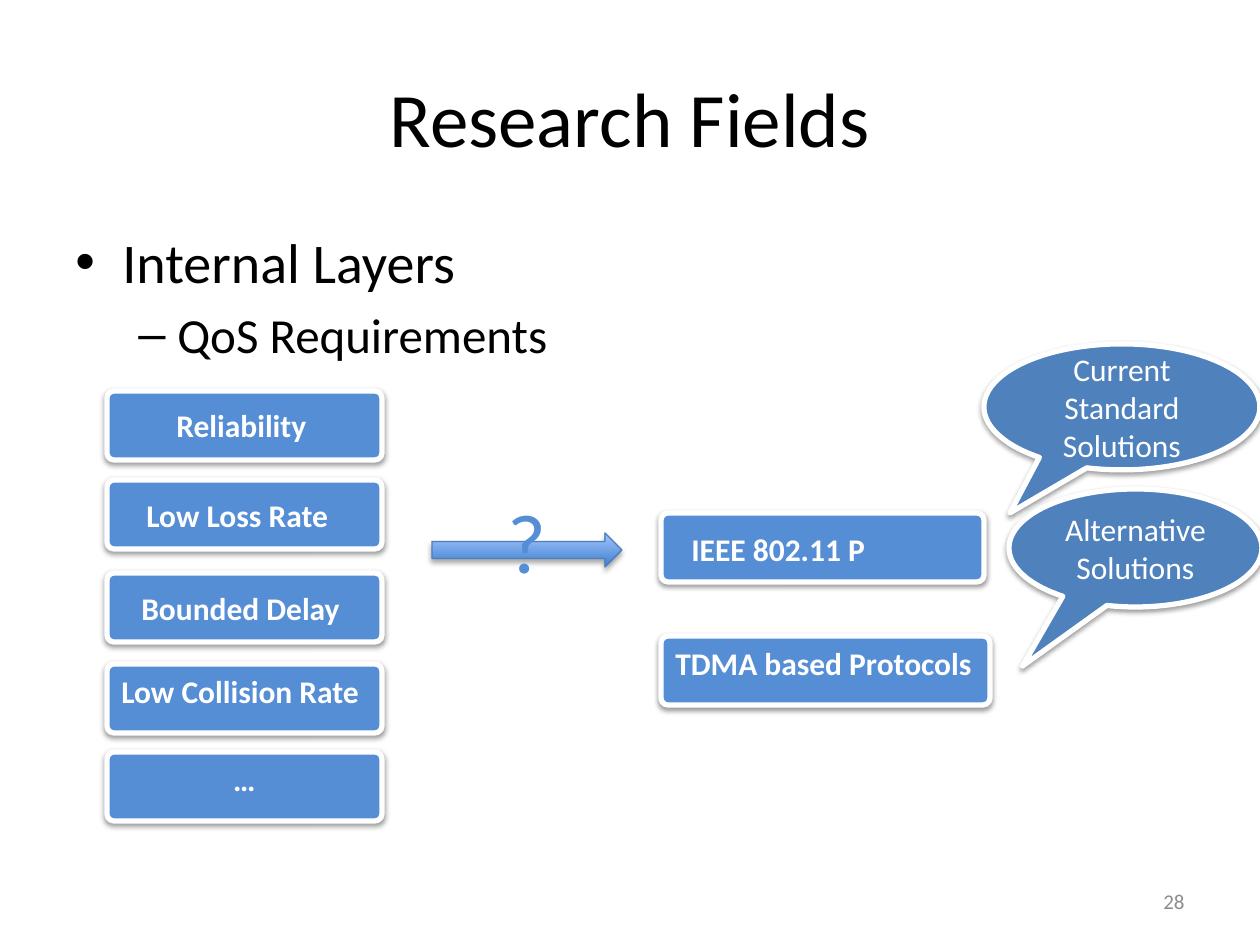
"""Build the Research Fields slide: QoS requirements pointing at candidate protocols."""
from dataclasses import dataclass
from typing import NamedTuple

from lxml import etree
from pptx import Presentation
from pptx import util as u
from pptx.dml.color import RGBColor
from pptx.enum import shapes, text
from pptx.oxml.ns import qn

PX = 914400 // 126
SHAPE, ALIGN, ANCHOR = shapes.MSO_SHAPE, text.PP_ALIGN, text.MSO_ANCHOR


@dataclass(frozen=True)
class Theme:
    font: str = "Calibri"
    ink: str = "000000"
    white: str = "FFFFFF"
    grey: str = "8C8C8C"
    box: str = "558ED5"
    callout: str = "4F81BD"
    arrow_line: str = "4B7EBC"
    arrow_fill: tuple = ("3F80CE", "A4C4FF")
    title: int = 44
    bullet: int = 32
    sub_bullet: int = 28
    label: int = 18
    number: int = 12
    mark: int = 48


class Rect(NamedTuple):
    x: int
    y: int
    w: int
    h: int

    def emu(self):
        return [v * PX for v in self]


class Box(NamedTuple):
    rect: Rect
    words: str = ""
    align: ALIGN = ALIGN.LEFT


class Callout(NamedTuple):
    rect: Rect
    words: str
    tip: tuple


class Bullet(NamedTuple):
    words: str
    size: int
    char: str
    left: int
    hang: int
    before: float


T = Theme()
COL, ROW_H = (107, 275), 69
BOXES = [
    *(Box(Rect(COL[0], y, COL[1], ROW_H)) for y in (391, 480, 573)),
    Box(Rect(COL[0], 664, COL[1], ROW_H), "Low Collision Rate"),
    Box(Rect(COL[0], 752, COL[1], ROW_H), "…", ALIGN.CENTER),
    Box(Rect(661, 513, 323, ROW_H)),
    Box(Rect(661, 636, 329, ROW_H), "TDMA based Protocols"),
]
LABELS = [
    Box(Rect(164, 400, 157, 50), "Reliability"),
    Box(Rect(134, 490, 210, 50), "Low Loss Rate"),
    Box(Rect(129, 583, 227, 50), "Bounded Delay"),
    Box(Rect(679, 524, 265, 50), "IEEE 802.11 P"),
]
CALLOUTS = [
    Callout(Rect(984, 344, 276, 126), "Current Standard Solutions", (-0.406, 0.842)),
    Callout(Rect(1009, 489, 253, 118), "Alternative Solutions", (-0.446, 1.0)),
]
BULLETS = [
    Bullet("Internal Layers", T.bullet, "•", 47, 47, 0),
    Bullet("QoS Requirements", T.sub_bullet, "–", 102, 39, 5.6),
]


def write(p, words: str, size: int, color: str, bold: bool = False, align=ALIGN.LEFT) -> None:
    """Fill a paragraph with one formatted run."""
    p.alignment = align
    r = p.add_run()
    r.text = words
    for name, value in dict(name=T.font, size=u.Pt(size), bold=bold).items():
        setattr(r.font, name, value)
    r.font.color.rgb = RGBColor.from_string(color)


def add_text(slide, rect: Rect, wrap: bool = True, anchor=ANCHOR.TOP):
    """Add an empty text box and return its text frame."""
    tf = slide.shapes.add_textbox(*rect.emu()).text_frame
    tf.word_wrap, tf.vertical_anchor = wrap, anchor
    return tf


def add_bullets(slide, rect: Rect, bullets: list[Bullet]) -> None:
    """Add the outline with hanging bullets."""
    tf = add_text(slide, rect)
    for i, b in enumerate(bullets):
        p = tf.add_paragraph() if i else tf.paragraphs[0]
        p.level, p.space_before = i, u.Pt(b.before)
        pPr = p._p.get_or_add_pPr()
        pPr.set("marL", str(b.left * PX))
        pPr.set("indent", str(-b.hang * PX))
        etree.SubElement(pPr, qn("a:buFont"), typeface="Arial")
        etree.SubElement(pPr, qn("a:buChar"), char=b.char)
        write(p, b.words, b.size, T.ink)


def add_shadow(sp, alpha: int, distance: float) -> None:
    """Give a shape a soft shadow straight below it."""
    sp.shadow.inherit = False
    effects = sp._element.spPr.find(qn("a:effectLst"))
    shadow = etree.SubElement(effects, qn("a:outerShdw"), blurRad=str(u.Pt(3.1)),
                              dist=str(u.Pt(distance)), dir="5400000", rotWithShape="0")
    color = etree.SubElement(shadow, qn("a:srgbClr"), val=T.ink)
    etree.SubElement(color, qn("a:alpha"), val=str(alpha * 1000))


def add_panel(slide, kind, rect: Rect, fill: str, adjust: tuple):
    """Add a filled shape with a white outline and a shadow."""
    sp = slide.shapes.add_shape(kind, *rect.emu())
    for i, value in enumerate(adjust):
        sp.adjustments[i] = value
    sp.fill.solid()
    sp.fill.fore_color.rgb = RGBColor.from_string(fill)
    sp.line.color.rgb = RGBColor.from_string(T.white)
    sp.line.width = u.Pt(3)
    add_shadow(sp, 38, 1.6)
    return sp


def add_box(slide, box: Box) -> None:
    """Add a rounded box, with its own words if it has any."""
    tf = add_panel(slide, SHAPE.ROUNDED_RECTANGLE, box.rect, T.box, (0.1,)).text_frame
    tf.vertical_anchor = ANCHOR.TOP
    if box.words:
        write(tf.paragraphs[0], box.words, T.label, T.white, True, box.align)


def add_callout(slide, callout: Callout) -> None:
    """Add an oval speech bubble."""
    sp = add_panel(slide, SHAPE.OVAL_CALLOUT, callout.rect, T.callout, callout.tip)
    sp.text_frame.vertical_anchor = ANCHOR.MIDDLE
    write(sp.text_frame.paragraphs[0], callout.words, T.label, T.white, align=ALIGN.CENTER)


def add_arrow(slide, rect: Rect) -> None:
    """Add the gradient block arrow."""
    sp = slide.shapes.add_shape(SHAPE.RIGHT_ARROW, *rect.emu())
    sp.fill.gradient()
    sp.fill.gradient_angle = 90
    for stop, color in zip(sp.fill.gradient_stops, T.arrow_fill):
        stop.color.rgb = RGBColor.from_string(color)
    sp.line.color.rgb = RGBColor.from_string(T.arrow_line)
    sp.line.width = u.Pt(0.75)
    add_shadow(sp, 35, 1.8)


def main() -> None:
    """Build and save the slide."""
    prs = Presentation()
    prs.slide_width, prs.slide_height = u.Inches(10), u.Inches(7.5)
    slide = prs.slides.add_slide(prs.slide_layouts[5])
    title = slide.shapes.title
    for name, value in zip(("left", "top", "width", "height"), Rect(63, 38, 1134, 158).emu()):
        setattr(title, name, value)
    title.text_frame.vertical_anchor = ANCHOR.MIDDLE
    write(title.text_frame.paragraphs[0], "Research Fields", T.title, T.ink, align=ALIGN.CENTER)
    add_bullets(slide, Rect(63, 221, 558, 624), BULLETS)
    number = add_text(slide, Rect(903, 876, 294, 50), anchor=ANCHOR.MIDDLE)
    write(number.paragraphs[0], "28", T.number, T.grey, align=ALIGN.RIGHT)
    for box in BOXES:
        add_box(slide, box)
    for label in LABELS:
        tf = add_text(slide, label.rect, wrap=False)
        write(tf.paragraphs[0], label.words, T.label, T.white, True)
    for callout in CALLOUTS:
        add_callout(slide, callout)
    add_arrow(slide, Rect(432, 533, 190, 34))
    mark = add_text(slide, Rect(495, 483, 64, 115), wrap=False)
    write(mark.paragraphs[0], "?", T.mark, T.box)
    prs.save("out.pptx")


if __name__ == "__main__":
    main()
